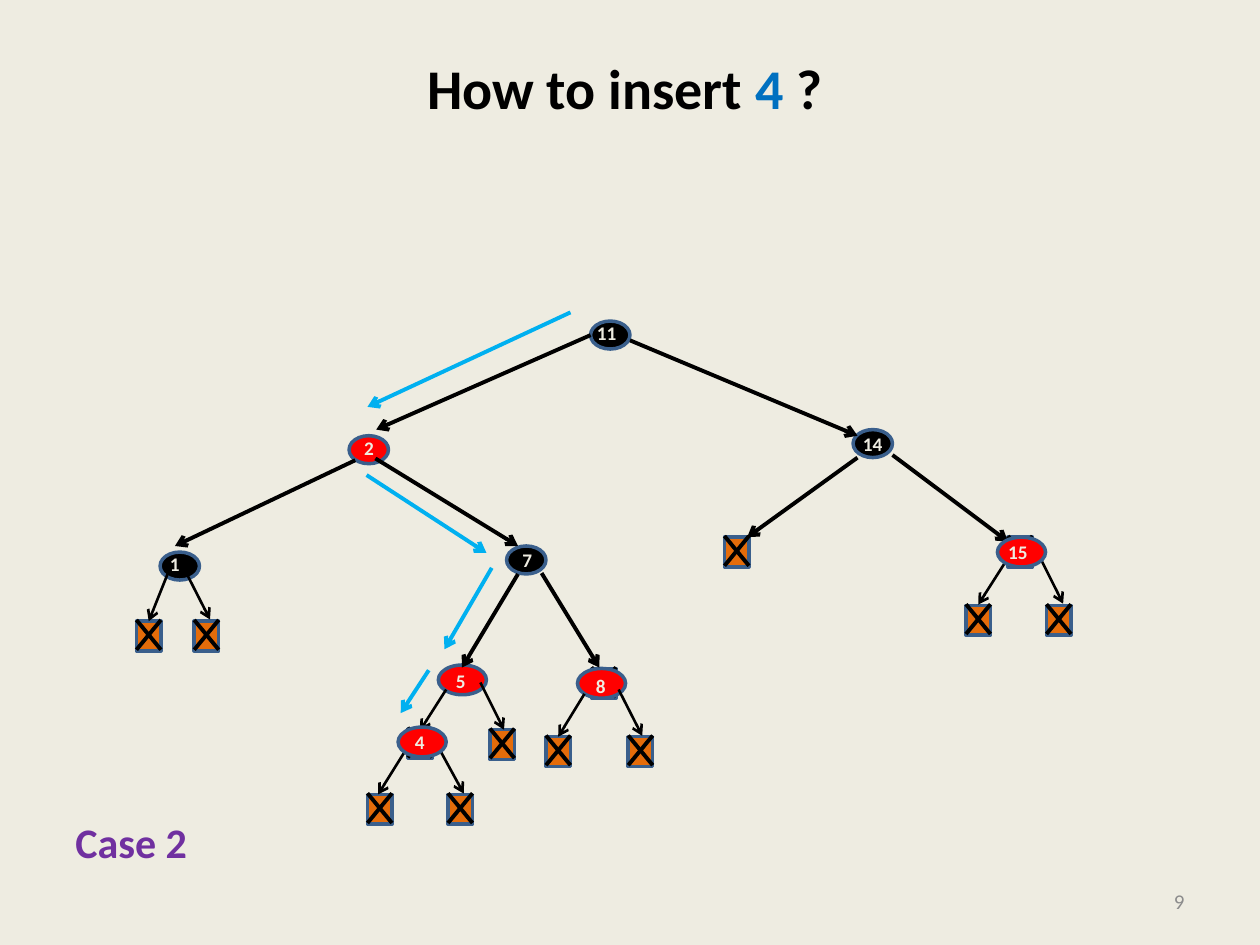
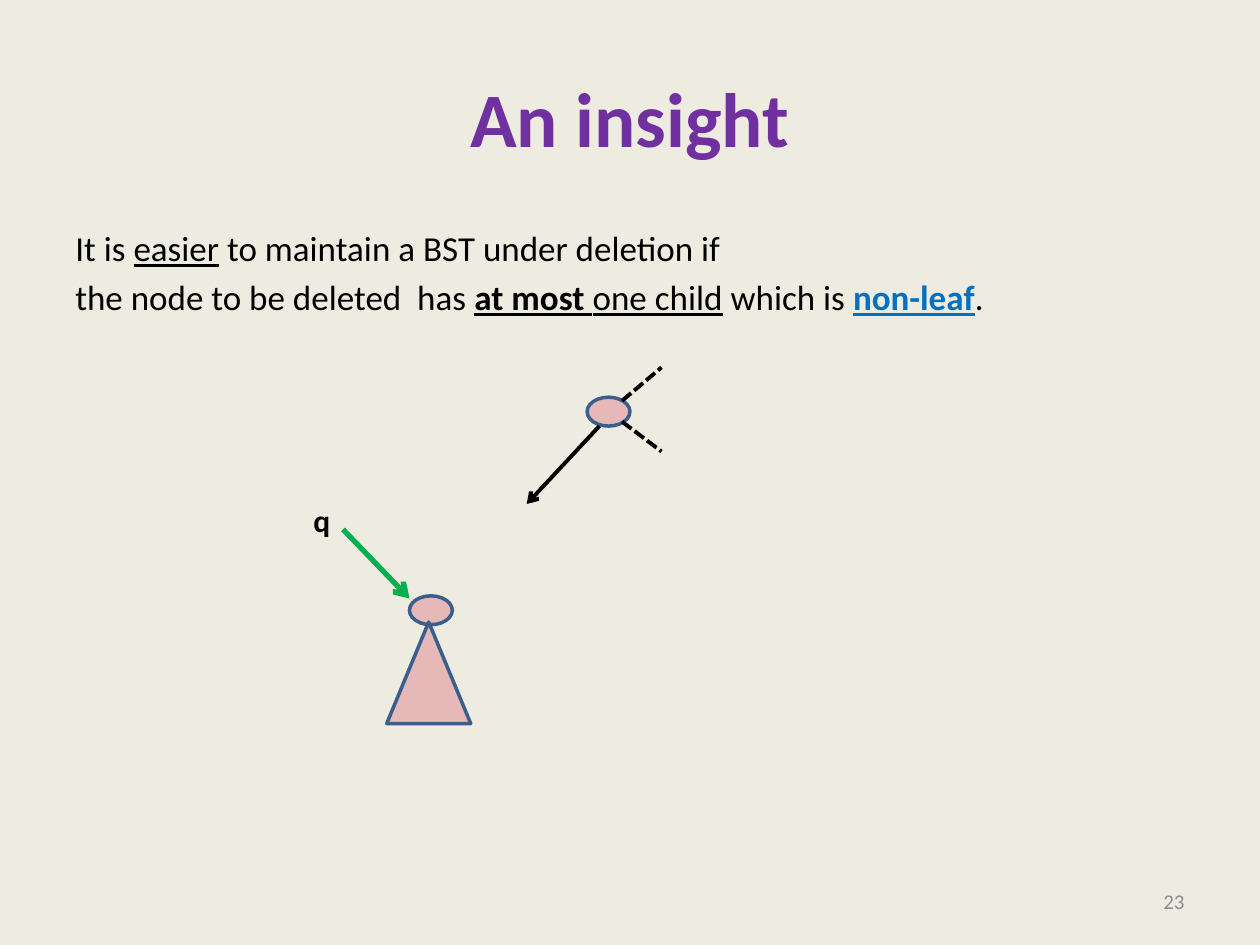
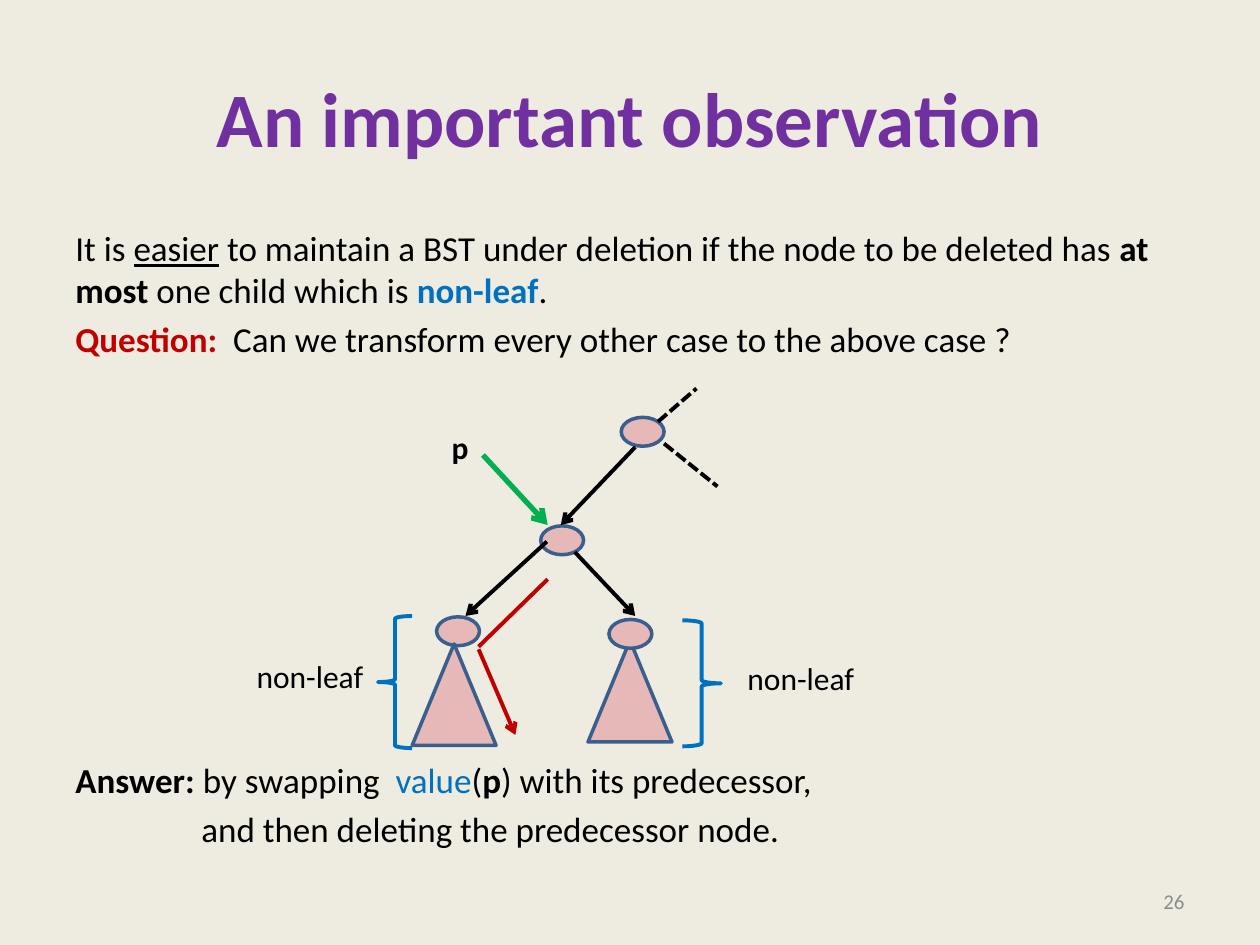
from pptx import Presentation
from pptx.dml.color import RGBColor
from pptx.enum.dml import MSO_LINE
from pptx.enum.shapes import MSO_CONNECTOR, MSO_SHAPE
from pptx.enum.text import MSO_ANCHOR, PP_ALIGN
from pptx.oxml.ns import qn
from pptx.util import Pt
from lxml.etree import SubElement

FONT = "Calibri"
BACKGROUND, OUTLINE = "EEECE1", "3A5F8C"
BLACK, BLUE, PURPLE, GREY = "000000", "0070C0", "7030A0", "8C8C8C"
RED, LEAF, CYAN = "FF0000", "E46C0A", "00B0F0"
PINK, GREEN, CRIMSON = "E6B9B8", "00B050", "C00000"

TITLE_BOX = (36, 21.6, 648, 90)
NUMBER_BOX = (516, 500.5, 168, 29)
BODY_LEFT, BODY_TOP, BODY_WIDTH = 36, 126, 648

BOLD, UNDERLINED = {"bold": True}, {"underline": True}
BLUE_BOLD = {"bold": True, "color": BLUE}

# Red-black tree: sizes, then (left, top) of each leaf
LEAF_SIZE = (14, 17)
SMALL, WIDE = (22.5, 16), (27.5, 17)
LEAVES = [(78, 355), (111, 355), (338, 382), (312, 421), (359, 421),
          (233, 416.5), (280, 417), (576, 307), (552, 346), (598, 346),
          (414, 307), (210, 454), (256, 454)]
# label, node position, size, fill, label position
INNER_NODES = [
    ("11", (337.5, 183.5), SMALL, BLACK, (334, 180)),
    ("7", (289.5, 312), SMALL, BLACK, (291.5, 309.5)),
    ("2", (199.5, 249), SMALL, RED, (201, 245.5)),
    ("1", (91.5, 315.5), SMALL, BLACK, (90, 312)),
    ("14", (487.5, 245.5), SMALL, BLACK, (486, 243.5)),
    ("8", (330, 382), WIDE, RED, (333.5, 382)),
    ("5", (250.5, 380), WIDE, RED, (253.5, 379)),
]
COVERING_NODES = [
    ("15", (570, 307), WIDE, RED, (569, 305)),
    ("4", (227.5, 415.5), WIDE, RED, (230, 414)),
]
# x and y of the start, then of the end
NODE_EDGES = [
    (337.5, 191.5, 215, 245.5), (203, 263, 100, 312),
    (296, 328, 264, 381.5), (309.5, 327.5, 342.5, 381.5),
    (360, 194.5, 490, 249), (490, 261.5, 427, 307),
    (510, 260, 576, 309.5), (214.5, 262, 296, 312),
]
LEAF_EDGES = [
    (96, 327.5, 85, 355), (106.5, 327.5, 120, 354),
    (334, 396.5, 319, 421), (353.5, 394, 367, 420.5),
    (255, 394, 240, 417.5), (274.5, 390, 288, 417),
    (574, 322, 559, 345.5), (594, 318, 607.5, 345),
    (231, 430, 216, 454), (250.5, 427, 265, 453.5),
]
SEARCH_STEPS = [
    (326, 178.5, 210, 232.5), (209.5, 271.5, 278, 316),
    (281, 324.5, 254, 371), (245, 383, 229, 407.5),
]

# Deletion sketches
INSIGHT_TEXT = [
    [("It is ", {}), ("easier", UNDERLINED),
     (" to maintain a BST under deletion if", {})],
    [("the node to be deleted  has ", {}),
     ("at most ", BOLD | UNDERLINED), ("one child", UNDERLINED),
     (" which is ", {}), ("non-leaf", BLUE_BOLD | UNDERLINED), (".", {})],
]
INSIGHT_SKETCH = {
    "shapes": [("node", 335.5, 227), ("node", 234, 340.5),
               ("subtree", 221, 355.5)],
    "edges": [(342.5, 243.5, 301, 288)],
    "dashes": [(355.5, 229, 378, 210), (355.5, 241, 378, 258)],
    "pointer": (196, 302.5, 234, 342),
    "label": ("q", 172, 283),
}
OBSERVATION_TEXT = [
    [("It is ", {}), ("easier", UNDERLINED),
     (" to maintain a BST under deletion if the node to be deleted has ", {}),
     ("at most ", BOLD), ("one child which is ", {}),
     ("non-leaf", BLUE_BOLD), (".", {})],
    [("Question:  ", {"bold": True, "color": CRIMSON}),
     ("Can we transform every other case to the above case ?", {})],
]
ANSWER_TEXT = [
    [("Answer: ", BOLD), ("by swapping  ", {}), ("value", {"color": BLUE}),
     ("(", {}), ("p", BOLD), (") with its predecessor,", {})],
    [("and then deleting the predecessor node.", {})],
]
OBSERVATION_SKETCH = {
    "shapes": [("subtree", 336, 366), ("node", 309, 300.5),
               ("node", 249.5, 352.5), ("node", 355, 238.5),
               ("node", 348, 354), ("subtree", 235.5, 368)],
    "edges": [(312.5, 309.5, 266, 352), (328.5, 315.5, 363, 352),
              (363, 255.5, 320.5, 300)],
    "dashes": [(379.5, 253.5, 410, 278), (376, 241, 398, 222)],
    "pointer": (276, 260, 313, 300),
    "label": ("p", 251, 241),
}
BRACES = [(MSO_SHAPE.RIGHT_BRACE, 390, 354.5, 22, 72),
          (MSO_SHAPE.LEFT_BRACE, 216, 352, 19.5, 75.5)]
BRACE_LABELS = [(420, 373), (139.5, 372)]
SKETCH_SHAPES = {"node": (MSO_SHAPE.OVAL, 24.5, 16.5),
                 "subtree": (MSO_SHAPE.ISOSCELES_TRIANGLE, 48, 58)}


def rgb(color):
    return RGBColor.from_string(color)


def points(*lengths):
    return [Pt(length) for length in lengths]


def add_text(slide, box, paragraphs, size, color=BLACK, bold=False,
             align=PP_ALIGN.LEFT, anchor=MSO_ANCHOR.TOP, wrap=True):
    """Add a text box; each paragraph is a list of (text, run style)."""
    frame = slide.shapes.add_textbox(*points(*box)).text_frame
    frame.word_wrap = wrap
    frame.vertical_anchor = anchor
    for index, runs in enumerate(paragraphs):
        paragraph = frame.add_paragraph() if index else frame.paragraphs[0]
        paragraph.alignment = align
        paragraph.space_before = Pt(size * 0.2 if index else 0)
        font = paragraph.font
        font.name, font.size, font.bold = FONT, Pt(size), bold
        font.color.rgb = rgb(color)
        for text, style in runs:
            run = paragraph.add_run()
            run.text = text
            if "bold" in style:
                run.font.bold = style["bold"]
            if "underline" in style:
                run.font.underline = style["underline"]
            if "color" in style:
                run.font.color.rgb = rgb(style["color"])
    return frame


def add_body(slide, paragraphs, top=BODY_TOP, height=100, **style):
    return add_text(slide, (BODY_LEFT, top, BODY_WIDTH, height), paragraphs,
                    **{"size": 20, **style})


def add_shape(slide, kind, box, fill=None, line=OUTLINE, width=2):
    shape = slide.shapes.add_shape(kind, *points(*box))
    shape.shadow.inherit = False
    if fill:
        shape.fill.solid()
        shape.fill.fore_color.rgb = rgb(fill)
    else:
        shape.fill.background()
    shape.line.color.rgb = rgb(line)
    shape.line.width = Pt(width)


def add_line(slide, ends, color=BLACK, width=2.25, arrow=True, dash=None):
    connector = slide.shapes.add_connector(MSO_CONNECTOR.STRAIGHT,
                                           *points(*ends))
    line = connector.line
    line.color.rgb = rgb(color)
    line.width = Pt(width)
    if dash:
        line.dash_style = dash
    if arrow:
        SubElement(line._get_or_add_ln(), qn("a:tailEnd"), type="arrow")
    SubElement(connector._element.spPr, qn("a:effectLst"))


def add_slide(presentation, number, title, box=TITLE_BOX, size=44,
              color=PURPLE):
    slide = presentation.slides.add_slide(presentation.slide_layouts[6])
    add_text(slide, box, [title], size, color, bold=True,
             align=PP_ALIGN.CENTER, anchor=MSO_ANCHOR.MIDDLE)
    add_text(slide, NUMBER_BOX, [[(str(number), {})]], 12, GREY,
             align=PP_ALIGN.RIGHT, anchor=MSO_ANCHOR.MIDDLE)
    return slide


def add_leaf(slide, left, top):
    """Add a square crossed by both diagonals."""
    width, height = LEAF_SIZE
    add_shape(slide, MSO_SHAPE.RECTANGLE, (left, top, *LEAF_SIZE), LEAF)
    right, cross_top = left + width, top - 0.7
    for start, end in ((right, left), (left, right)):
        add_line(slide, (start, cross_top, end, cross_top + height),
                 arrow=False)


def add_nodes(slide, nodes):
    for label, position, size, fill, label_position in nodes:
        add_shape(slide, MSO_SHAPE.OVAL, position + size, fill)
        wide = size == WIDE
        width = 31 if wide else 14 + 6 * len(label)
        add_text(slide, (*label_position, width, 21), [[(label, {})]], 11,
                 BACKGROUND, bold=True, wrap=wide)


def add_sketch(slide, sketch):
    for name, left, top in sketch["shapes"]:
        kind, width, height = SKETCH_SHAPES[name]
        add_shape(slide, kind, (left, top, width, height), PINK)
    for ends in sketch["edges"]:
        add_line(slide, ends)
    for ends in sketch["dashes"]:
        add_line(slide, ends, arrow=False, dash=MSO_LINE.SQUARE_DOT)
    add_line(slide, sketch["pointer"], GREEN, 3)
    label, left, top = sketch["label"]
    add_text(slide, (left, top, 24.5, 29), [[(label, {})]], 18, bold=True,
             wrap=False)


def build_insertion(presentation):
    title = [("How to insert ", {}), ("4 ", {"color": BLUE}), ("?", {})]
    slide = add_slide(presentation, 9, title, (6, 21.6, 702, 56), 32, BLACK)
    add_body(slide, [[("Case 2", {})]], 463, 37, size=24, color=PURPLE,
             bold=True)
    for leaf in LEAVES:
        add_leaf(slide, *leaf)
    add_nodes(slide, INNER_NODES)
    for edges, color, width in ((NODE_EDGES, BLACK, 2.25),
                                (LEAF_EDGES, BLACK, 1.5),
                                (SEARCH_STEPS, CYAN, 2.25)):
        for ends in edges:
            add_line(slide, ends, color, width)
    add_nodes(slide, COVERING_NODES)


def build_insight(presentation):
    slide = add_slide(presentation, 23, [("An insight", {})])
    add_body(slide, INSIGHT_TEXT)
    add_sketch(slide, INSIGHT_SKETCH)


def build_observation(presentation):
    slide = add_slide(presentation, 26, [("An important observation", {})])
    add_body(slide, OBSERVATION_TEXT)
    answer = add_body(slide, ANSWER_TEXT, 430, 60)
    answer.paragraphs[1]._p.get_or_add_pPr().set("marL", str(Pt(72)))
    add_sketch(slide, OBSERVATION_SKETCH)
    for kind, *box in BRACES:
        add_shape(slide, kind, box, line=BLUE, width=2.25)
    for left, top in BRACE_LABELS:
        add_text(slide, (left, top, 76, 29), [[("non-leaf", {})]], 18,
                 wrap=False)
    add_line(slide, (313, 331, 273.5, 369.5), CRIMSON, arrow=False)
    add_line(slide, (273.5, 371, 294.5, 420), CRIMSON)


def main():
    presentation = Presentation()
    presentation.slide_width, presentation.slide_height = points(720, 540)
    background = presentation.slide_master.background.fill
    background.solid()
    background.fore_color.rgb = rgb(BACKGROUND)
    build_insertion(presentation)
    build_insight(presentation)
    build_observation(presentation)
    presentation.save("out.pptx")


if __name__ == "__main__":
    main()
